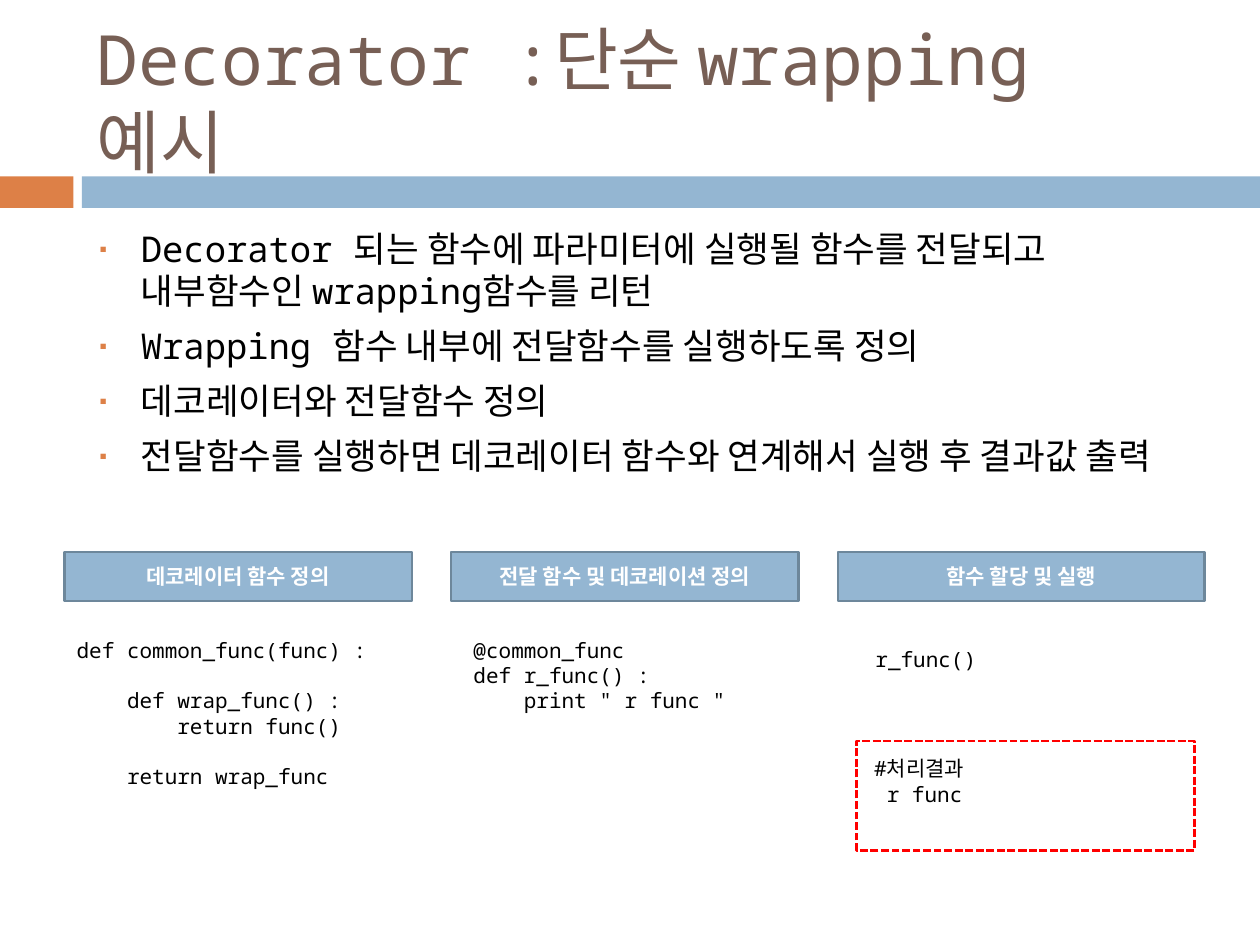
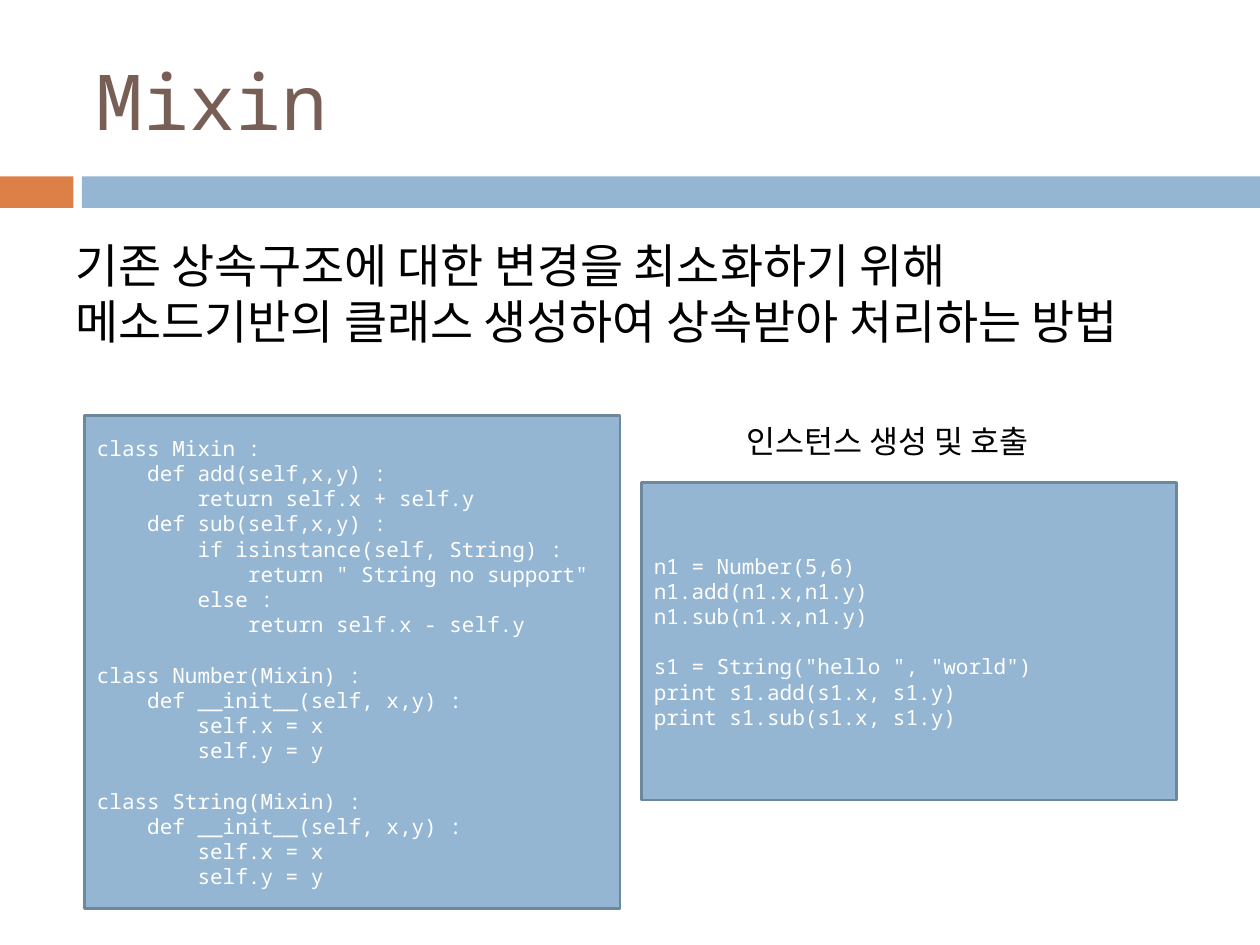
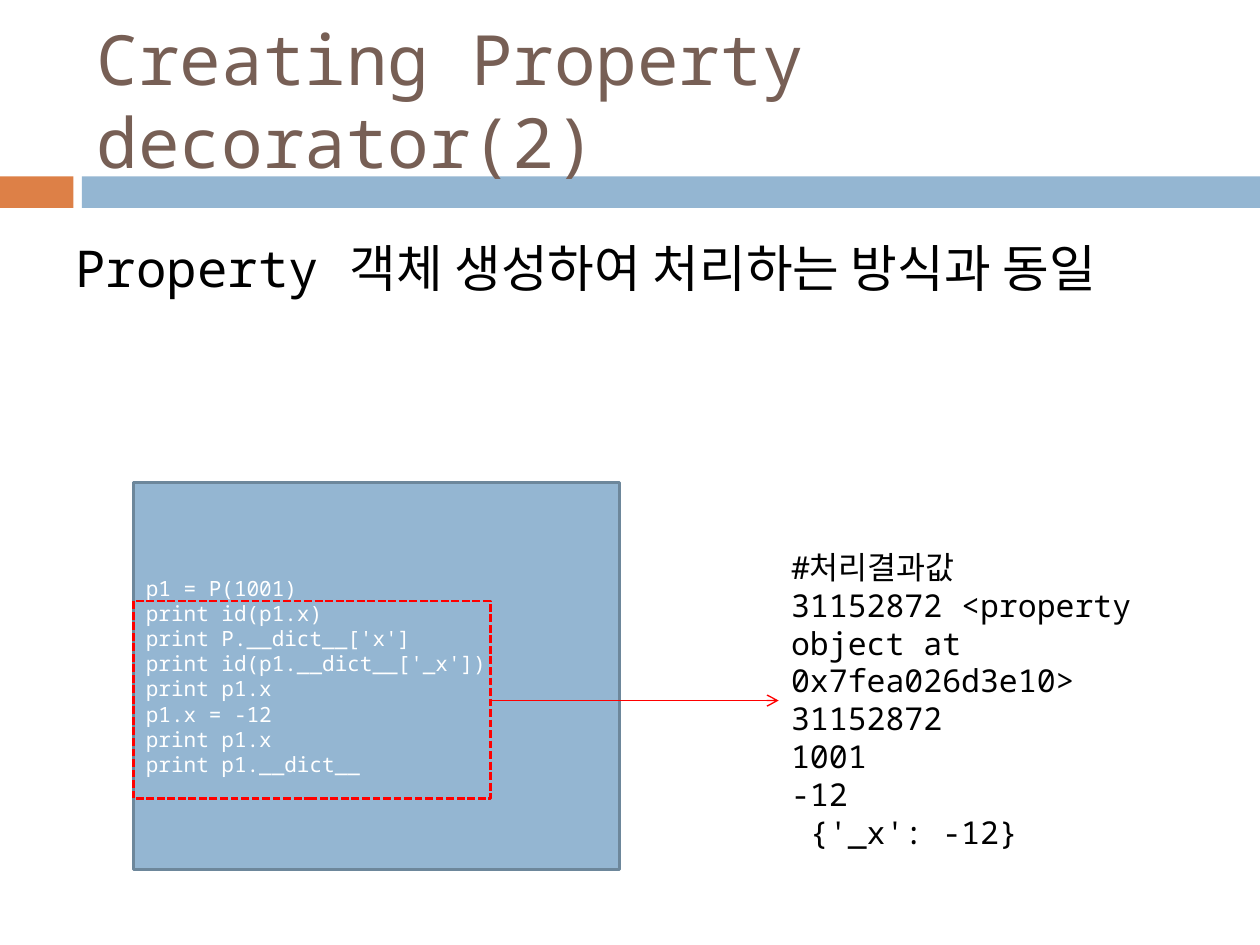
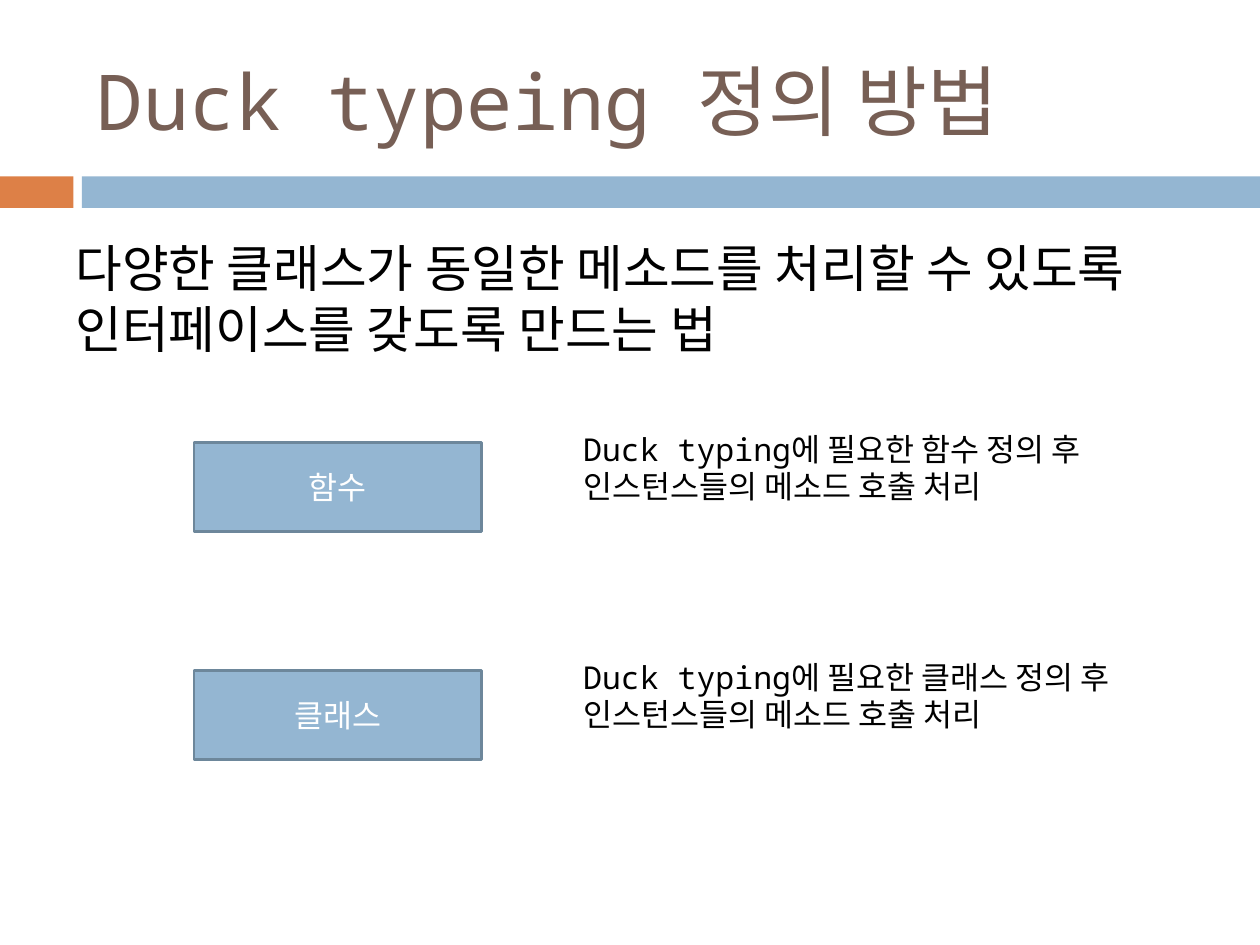
from dataclasses import dataclass

from lxml.etree import SubElement
from pptx import Presentation
from pptx.dml.color import RGBColor
from pptx.enum.dml import MSO_LINE
from pptx.enum.shapes import MSO_CONNECTOR, MSO_SHAPE
from pptx.enum.text import MSO_ANCHOR as Anchor, MSO_AUTO_SIZE as AutoSize, PP_ALIGN as Align
from pptx.oxml.ns import qn
from pptx.shapes.autoshape import Shape
from pptx.slide import Slide
from pptx.text.text import TextFrame
from pptx.util import Pt

ORANGE = RGBColor(0xDD, 0x80, 0x47)
BLUE = RGBColor(0x94, 0xB6, 0xD2)
BORDER = RGBColor(0x6D, 0x87, 0x9B)
BROWN = RGBColor(0x77, 0x5F, 0x55)
RED = RGBColor(0xFF, 0x00, 0x00)
BLACK = RGBColor(0x00, 0x00, 0x00)
WHITE = RGBColor(0xFF, 0xFF, 0xFF)

FONT = "Noto Sans Mono"
CODE_SIZE = 12
LABEL_SIZE = 18
LINE_HEIGHT = 1.2


@dataclass(frozen=True)
class Box:
    x: float
    y: float
    w: float
    h: float

    def lengths(self) -> tuple[Pt, Pt, Pt, Pt]:
        return Pt(self.x), Pt(self.y), Pt(self.w), Pt(self.h)


@dataclass(frozen=True)
class Style:
    size: float
    color: RGBColor = BLACK
    bold: bool = False
    align: Align = Align.LEFT


CODE = Style(CODE_SIZE)
PANEL_CODE = Style(CODE_SIZE, WHITE)
HEADING = Style(CODE_SIZE, WHITE, True, Align.CENTER)
LABEL = Style(LABEL_SIZE)
CENTERED_LABEL = Style(LABEL_SIZE, align=Align.CENTER)
PANEL_LABEL = Style(LABEL_SIZE, WHITE, align=Align.CENTER)

TITLE_BOX = Box(48.24, 18, 642.24, 77.76)
ORANGE_BAND = Box(0, 100.8, 42, 18)
BLUE_BAND = Box(46.8, 100.8, 673.2, 18)
BULLET_BOX = Box(48.24, 126, 642.24, 161.28)


def write(tf: TextFrame, text: str, style: Style) -> None:
    tf.word_wrap = True
    gap = 0.0
    p = None
    for line in text.split("\n"):
        if not line:
            gap = style.size * LINE_HEIGHT
            continue
        p = tf.add_paragraph() if p else tf.paragraphs[0]
        p.text = line
        p.alignment = style.align
        if gap:
            p.space_before = Pt(gap)
            gap = 0.0
        for r in p.runs:
            r.font.name = FONT
            r.font.size = Pt(style.size)
            r.font.bold = style.bold
            r.font.color.rgb = style.color


def add_text(s: Slide, box: Box, text: str, style: Style) -> TextFrame:
    tf = s.shapes.add_textbox(*box.lengths()).text_frame
    write(tf, text, style)
    return tf


def add_note(s: Slide, box: Box, text: str, style: Style) -> None:
    add_text(s, box, text, style).auto_size = AutoSize.SHAPE_TO_FIT_TEXT


def add_rect(s: Slide, box: Box) -> Shape:
    sp = s.shapes.add_shape(MSO_SHAPE.RECTANGLE, *box.lengths())
    sp.shadow.inherit = False
    return sp


def add_band(s: Slide, box: Box, color: RGBColor) -> None:
    sp = add_rect(s, box)
    sp.fill.solid()
    sp.fill.fore_color.rgb = color
    sp.line.fill.background()


def add_panel(s: Slide, box: Box, text: str, style: Style) -> None:
    sp = add_rect(s, box)
    sp.fill.solid()
    sp.fill.fore_color.rgb = BLUE
    sp.line.color.rgb = BORDER
    sp.line.width = Pt(1.5)
    sp.text_frame.vertical_anchor = Anchor.MIDDLE
    write(sp.text_frame, text, style)


def add_dashed_frame(s: Slide, box: Box) -> None:
    sp = add_rect(s, box)
    sp.fill.background()
    sp.line.color.rgb = RED
    sp.line.width = Pt(1.5)
    sp.line.dash_style = MSO_LINE.SQUARE_DOT


def add_arrow(s: Slide, x1: float, x2: float, y: float) -> None:
    c = s.shapes.add_connector(MSO_CONNECTOR.STRAIGHT, Pt(x1), Pt(y), Pt(x2), Pt(y))
    c.line.color.rgb = RED
    c.line.width = Pt(0.79)
    SubElement(c.line._get_or_add_ln(), qn("a:tailEnd"), type="arrow")
    SubElement(c._element.spPr, qn("a:effectLst"))


def add_bullets(s: Slide, box: Box, text: str, style: Style) -> None:
    tf = add_text(s, box, text, style)
    for i, p in enumerate(tf.paragraphs):
        pPr = p._p.get_or_add_pPr()
        pPr.set("marL", str(Pt(25.2)))
        pPr.set("indent", str(-Pt(25.2)))
        if i:
            p.space_before = Pt(7)
        color = SubElement(pPr, qn("a:buClr"))
        SubElement(color, qn("a:srgbClr"), val=str(ORANGE))
        SubElement(pPr, qn("a:buSzPct"), val="60000")
        SubElement(pPr, qn("a:buFont"), typeface=FONT)
        SubElement(pPr, qn("a:buChar"), char="▪")


def add_lead(s: Slide, height: float, text: str, size: float) -> None:
    add_text(s, Box(36, 131.76, 648, height), text, Style(size))


def new_slide(prs: Presentation, title: str, size: float = 44) -> Slide:
    s = prs.slides.add_slide(prs.slide_layouts[6])
    add_band(s, ORANGE_BAND, ORANGE)
    add_band(s, BLUE_BAND, BLUE)
    tf = add_text(s, TITLE_BOX, title, Style(size, BROWN))
    tf.vertical_anchor = Anchor.MIDDLE
    return s


COMMON_FUNC = """def common_func(func) :

    def wrap_func() :
        return func()

    return wrap_func"""

DECORATED_FUNC = """@common_func
def r_func() :
    print " r func \""""

MIXIN_CLASSES = """class Mixin :
    def add(self,x,y) :
        return self.x + self.y
    def sub(self,x,y) :
        if isinstance(self, String) :
            return " String no support"
        else :
            return self.x - self.y

class Number(Mixin) :
    def __init__(self, x,y) :
        self.x = x
        self.y = y

class String(Mixin) :
    def __init__(self, x,y) :
        self.x = x
        self.y = y"""

MIXIN_CALLS = """n1 = Number(5,6)
n1.add(n1.x,n1.y)
n1.sub(n1.x,n1.y)

s1 = String("hello ", "world")
print s1.add(s1.x, s1.y)
print s1.sub(s1.x, s1.y)"""

PROPERTY_CALLS = """p1 = P(1001)
print id(p1.x)
print P.__dict__['x']
print id(p1.__dict__['_x'])
print p1.x
p1.x = -12
print p1.x
print p1.__dict__"""

PROPERTY_RESULT = """#처리결과값
31152872 <property object at 0x7fea026d3e10> 31152872
1001
-12
 {'_x': -12}"""

WRAPPING_POINTS = """Decorator 되는 함수에 파라미터에 실행될 함수를 전달되고 내부함수인 wrapping함수를 리턴
Wrapping 함수 내부에 전달함수를 실행하도록 정의
데코레이터와 전달함수 정의
전달함수를 실행하면 데코레이터 함수와 연계해서 실행 후 결과값 출력"""


def decorator_slide(prs: Presentation) -> None:
    s = new_slide(prs, "Decorator :단순 wrapping 예시", 39.6)
    add_bullets(s, BULLET_BOX, WRAPPING_POINTS, Style(20.3))
    headings = (
        ("데코레이터 함수 정의", 198.72),
        ("전달 함수 및 데코레이션 정의", 198.72),
        ("함수 할당 및 실행", 209.52),
    )
    for i, (heading, width) in enumerate(headings):
        add_panel(s, Box(36.72 + 221.04 * i, 315.36, width, 28.08), heading, HEADING)
    add_note(s, Box(36.72, 360.72, 215.28, 94.32), COMMON_FUNC, CODE)
    add_note(s, Box(263.52, 360.72, 203.76, 51.12), DECORATED_FUNC, CODE)
    add_note(s, Box(493.2, 365.76, 187.2, 21.6), "r_func()", CODE)
    add_dashed_frame(s, Box(489.6, 423.36, 192.96, 62.64))
    add_note(s, Box(492.48, 428.4, 187.2, 36), "#처리결과\n r func", CODE)


def mixin_slide(prs: Presentation) -> None:
    s = new_slide(prs, "Mixin")
    add_lead(
        s,
        92.88,
        "기존 상속구조에 대한 변경을 최소화하기 위해 메소드기반의 클래스 생성하여 상속받아 처리하는 방법",
        26.8,
    )
    add_panel(s, Box(48.24, 237.6, 306, 281.52), MIXIN_CLASSES, PANEL_CODE)
    add_panel(s, Box(366.48, 275.76, 306, 181.44), MIXIN_CALLS, PANEL_CODE)
    add_note(s, Box(399.6, 237.6, 215.28, 24.48), "인스턴스 생성 및 호출", CENTERED_LABEL)


def property_slide(prs: Presentation) -> None:
    s = new_slide(prs, "Creating Property decorator(2)", 39.6)
    add_lead(s, 115.92, "Property 객체 생성하여 처리하는 방식과 동일", 29)
    add_panel(s, Box(76.32, 275.76, 277.92, 221.04), PROPERTY_CALLS, PANEL_CODE)
    add_note(s, Box(444.96, 309.6, 238.32, 181.44), PROPERTY_RESULT, LABEL)
    add_dashed_frame(s, Box(76.32, 343.44, 204, 113.04))
    add_arrow(s, 280.8, 444.96, 400.32)


def duck_typing_slide(prs: Presentation) -> None:
    s = new_slide(prs, "Duck typeing 정의 방법")
    add_lead(s, 104.4, "다양한 클래스가 동일한 메소드를 처리할 수 있도록 인터페이스를 갖도록 만드는 법", 29)
    for i, kind in enumerate(("함수", "클래스")):
        offset = 130.32 * i
        add_panel(s, Box(110.88, 252.72 + offset, 164.16, 51.12), kind, PANEL_LABEL)
        text = f"Duck typing에 필요한 {kind} 정의 후 인스턴스들의 메소드 호출 처리"
        add_note(s, Box(326.16, 241.92 + offset, 323.28, 51.12), text, LABEL)


def main() -> None:
    prs = Presentation()
    prs.slide_width, prs.slide_height = Pt(720), Pt(540)
    decorator_slide(prs)
    mixin_slide(prs)
    property_slide(prs)
    duck_typing_slide(prs)
    prs.save("out.pptx")


if __name__ == "__main__":
    main()
